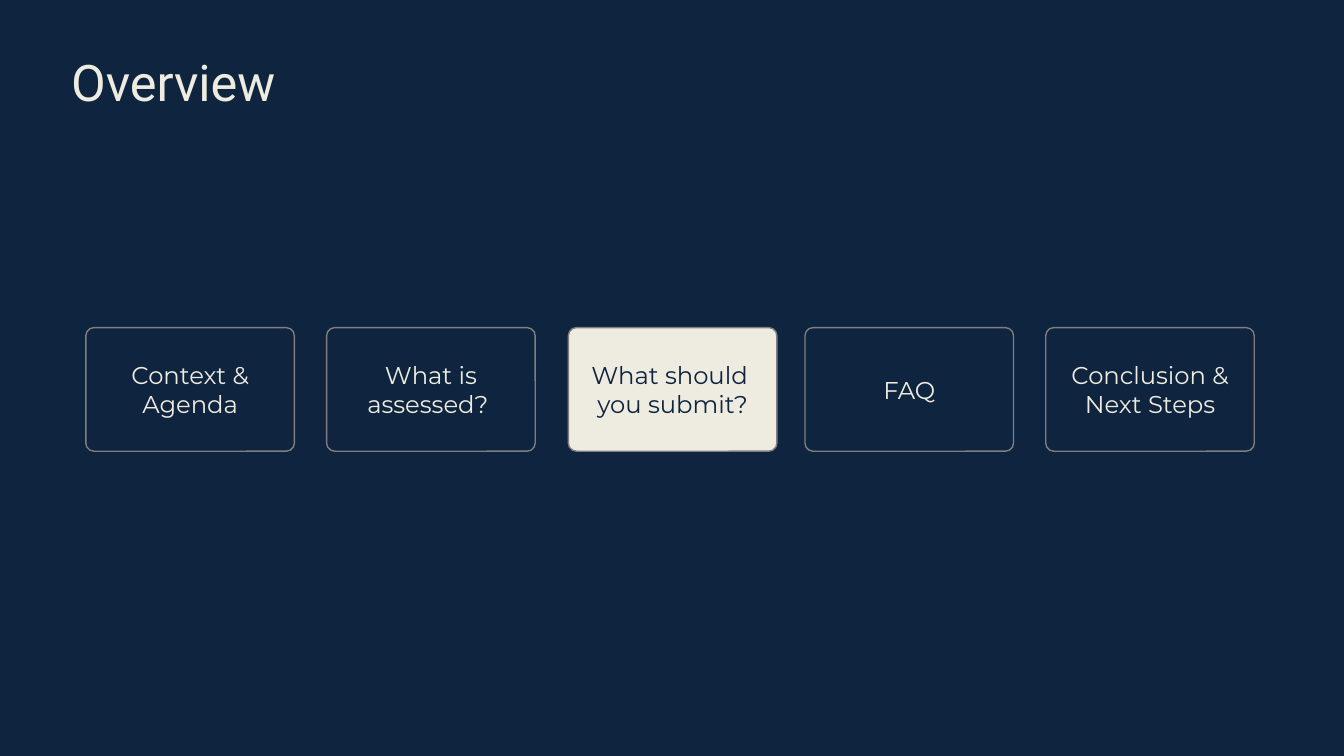
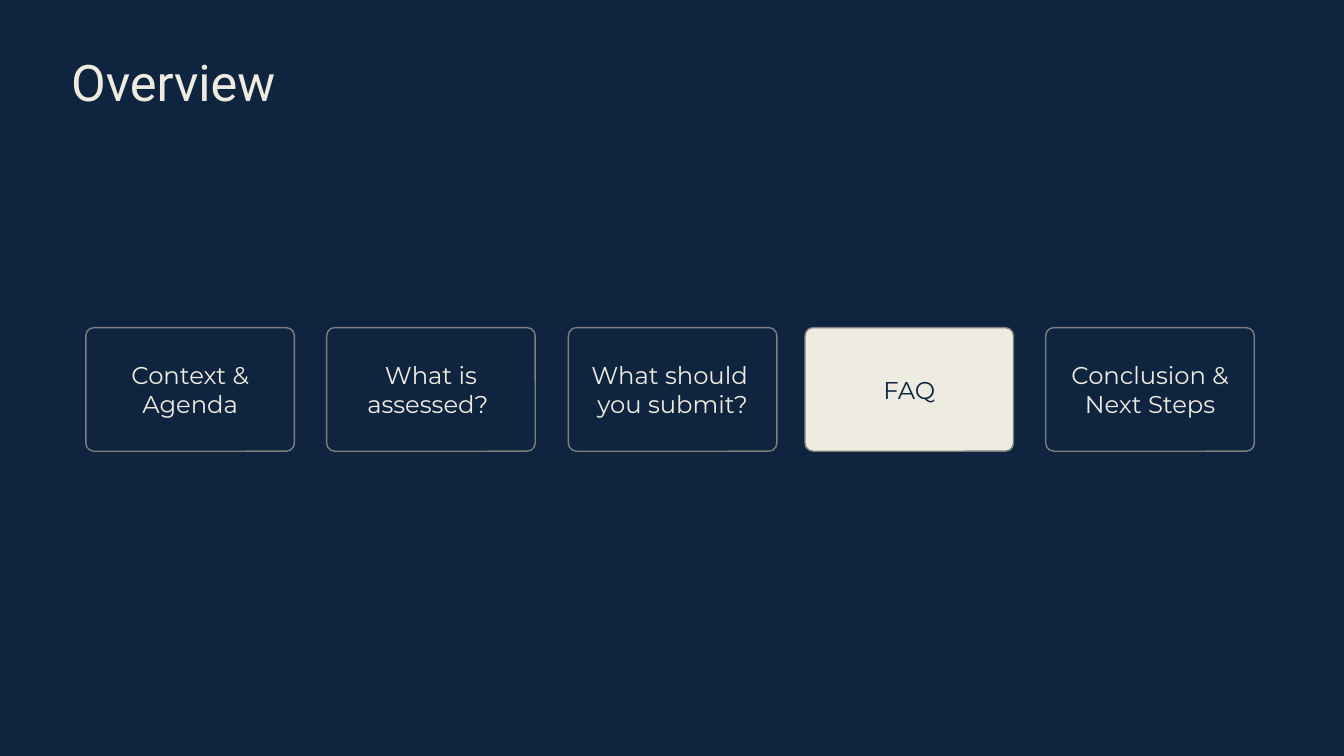
import pptx
import pptx.util
import pptx.dml.color
import pptx.enum.shapes
import pptx.enum.text

Pt = pptx.util.Pt
NAVY, CREAM, GREY = "0F243E", "EEECE1", "7F7F7F"
TITLE = "Overview"
STEPS = [
    (46, "Context & Agenda"),
    (175, "What is assessed? "),
    (304.5, "What should \nyou submit?"),
    (431.25, "FAQ"),
    (560.25, "Conclusion & Next Steps"),
]
ACTIVE = [2, 3]
TOP, WIDTH, HEIGHT = 175.5, 111.75, 66.25


def color(code):
    return pptx.dml.color.RGBColor.from_string(code)


def paint(fill, code):
    fill.solid()
    fill.fore_color.rgb = color(code)


def write(shape, text, font, size, code, align, inset):
    frame = shape.text_frame
    frame.text = text
    frame.word_wrap = True
    frame.auto_size = pptx.enum.text.MSO_AUTO_SIZE.NONE
    frame.vertical_anchor = pptx.enum.text.MSO_ANCHOR.MIDDLE
    frame.margin_left = frame.margin_right = Pt(inset)
    frame.margin_top = frame.margin_bottom = Pt(inset)
    for line in frame.paragraphs:
        line.alignment = align
        line.font.name = font
        line.font.size = Pt(size)
        line.font.color.rgb = color(code)


def add_title(slide):
    title = slide.shapes.title
    title.left, title.top = Pt(34.5), Pt(21.5)
    title.width, title.height = Pt(650), Pt(44)
    write(title, TITLE, "Roboto", 27, CREAM, pptx.enum.text.PP_ALIGN.LEFT, 3.6)


def add_step(slide, left, text, active):
    box = slide.shapes.add_shape(
        pptx.enum.shapes.MSO_SHAPE.ROUNDED_RECTANGLE,
        Pt(left), Pt(TOP), Pt(WIDTH), Pt(HEIGHT))
    box.adjustments[0] = 0.066
    box.shadow.inherit = False
    back, ink = (CREAM, NAVY) if active else (NAVY, CREAM)
    paint(box.fill, back)
    paint(box.line.fill, GREY)
    box.line.width = Pt(0.75)
    write(box, text, "Montserrat", 13, ink, pptx.enum.text.PP_ALIGN.CENTER, 0)


def main():
    deck = pptx.Presentation()
    deck.slide_width, deck.slide_height = Pt(720), Pt(405)
    paint(deck.slide_master.background.fill, NAVY)
    for active in ACTIVE:
        slide = deck.slides.add_slide(deck.slide_layouts.get_by_name("Title Only"))
        add_title(slide)
        for index, (left, text) in enumerate(STEPS):
            add_step(slide, left, text, index == active)
    deck.save("out.pptx")


if __name__ == "__main__":
    main()
